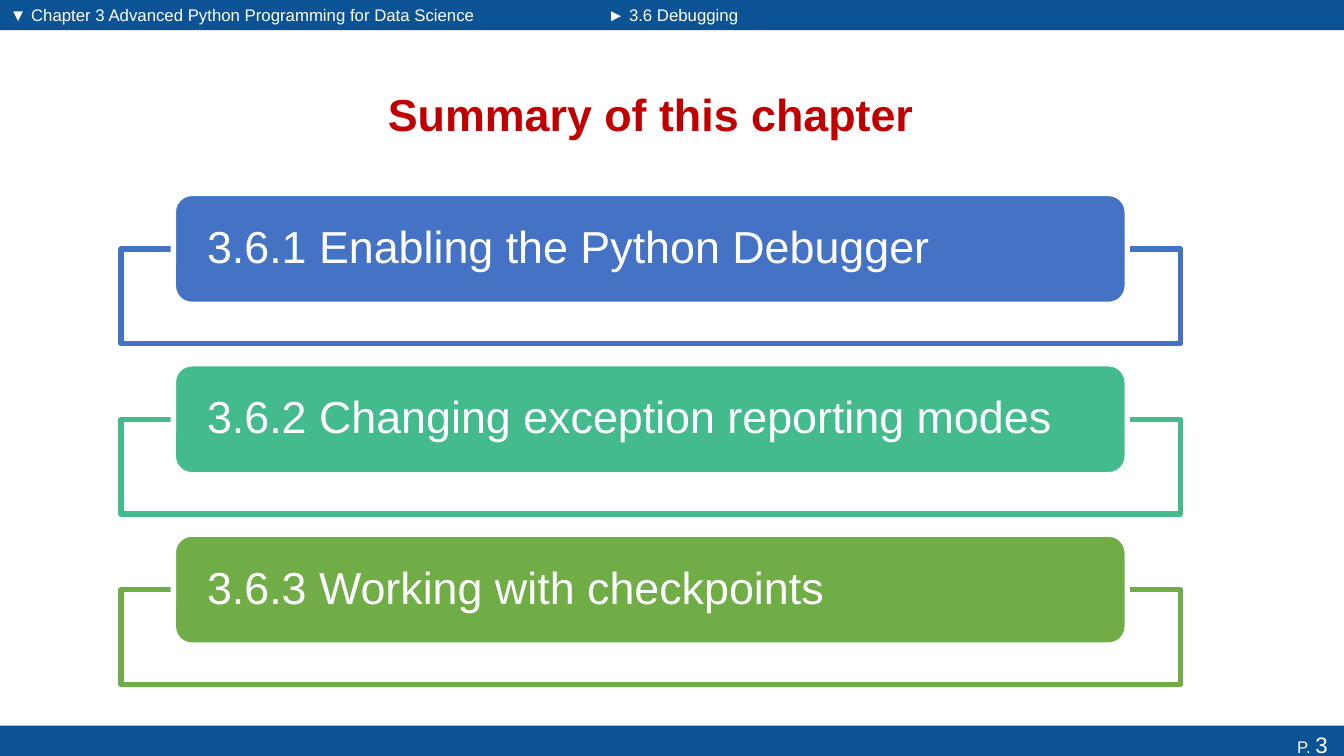
"""Build the chapter summary slide."""
from pptx import Presentation
from pptx.dml.color import RGBColor as RGB
from pptx.enum.shapes import MSO_SHAPE as SHAPE
from pptx.enum.text import MSO_ANCHOR as ANCHOR, PP_ALIGN as ALIGN
from pptx.util import Inches, Pt

NAVY = RGB(0x0B, 0x53, 0x94)
RED = RGB(0xC0, 0x00, 0x00)
WHITE = RGB(0xFF, 0xFF, 0xFF)
BLUE = RGB(0x44, 0x72, 0xC4)
TEAL = RGB(0x43, 0xBB, 0x8D)
GREEN = RGB(0x70, 0xAD, 0x47)

TITLE = "Summary of this chapter"
HEADS = [
    ("▼ Chapter 3 Advanced Python Programming for Data Science", 0, 5.93),
    ("► 3.6 Debugging", 5.93, 7.4),
]
PAGE = [("P. ", 12), ("3", 16)]
TOPICS = [
    ("3.6.1 Enabling the Python Debugger", BLUE),
    ("3.6.2 Changing exception reporting modes", TEAL),
    ("3.6.3 Working with checkpoints", GREEN),
]
TOP, PITCH, HIGH = 1.92, 1.69, 1.1


def add_box(slide, kind, area, fill, line=None):
    box = slide.shapes.add_shape(kind, *map(Inches, area))
    box.shadow.inherit = False
    box.fill.solid()
    box.fill.fore_color.rgb = fill
    if line is None:
        box.line.fill.background()
    else:
        box.line.color.rgb = line
        box.line.width = Pt(3.78)
    return box


def write(shape, runs, color=WHITE, bold=False, align=ALIGN.LEFT,
          anchor=ANCHOR.MIDDLE, side=0.1, pad=0.05, space=1.0):
    frame = shape.text_frame
    frame.word_wrap = True
    frame.vertical_anchor = anchor
    frame.margin_left = frame.margin_right = Inches(side)
    frame.margin_top = frame.margin_bottom = Inches(pad)
    para = frame.paragraphs[0]
    para.alignment = align
    para.line_spacing = space
    for text, size in runs:
        run = para.add_run()
        run.text = text
        run.font.name = "Arial"
        run.font.size = Pt(size)
        run.font.bold = bold
        run.font.color.rgb = color


def main():
    deck = Presentation()
    deck.slide_width, deck.slide_height = Inches(13.33), Inches(7.5)
    slide = deck.slides.add_slide(deck.slide_layouts[6])

    for text, left, width in HEADS:
        bar = add_box(slide, SHAPE.RECTANGLE, (left, 0, width, 0.3), NAVY)
        write(bar, [(text, 12)], anchor=ANCHOR.TOP)
    foot = add_box(slide, SHAPE.RECTANGLE, (0, 7.2, 13.33, 0.37), NAVY)
    write(foot, PAGE, align=ALIGN.RIGHT, side=0.16)

    title = slide.shapes.add_textbox(*map(Inches, (2.51, 0.68, 7.89, 0.9)))
    write(title, [(TITLE, 32)], color=RED, bold=True, align=ALIGN.CENTER)

    for row, (text, color) in enumerate(TOPICS):
        top = TOP + row * PITCH
        add_box(slide, SHAPE.RECTANGLE, (1.2, top + HIGH / 2, 10.51, 0.94),
                WHITE, color)
        label = add_box(slide, SHAPE.ROUNDED_RECTANGLE,
                        (1.72, top, 9.46, HIGH), color, WHITE)
        write(label, [(text, 32)], side=0.28, pad=0, space=0.9)

    deck.save("out.pptx")


if __name__ == "__main__":
    main()
